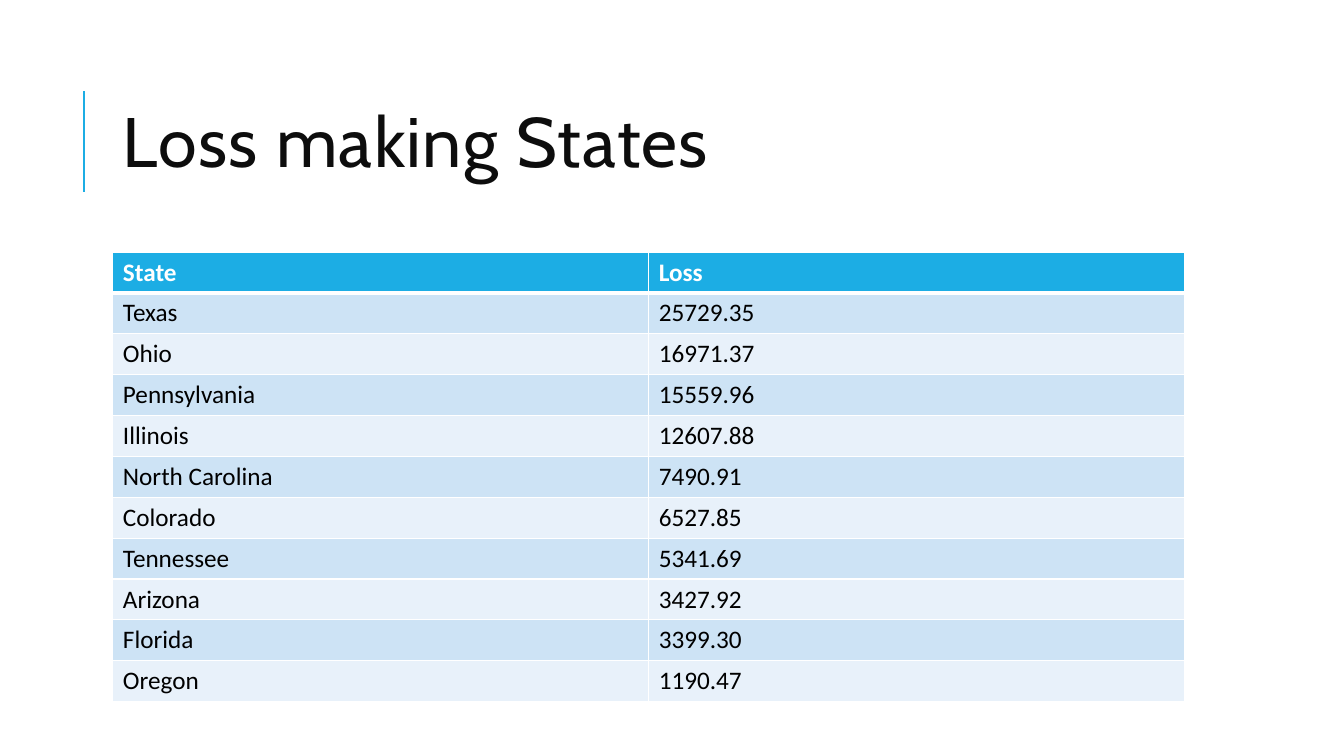
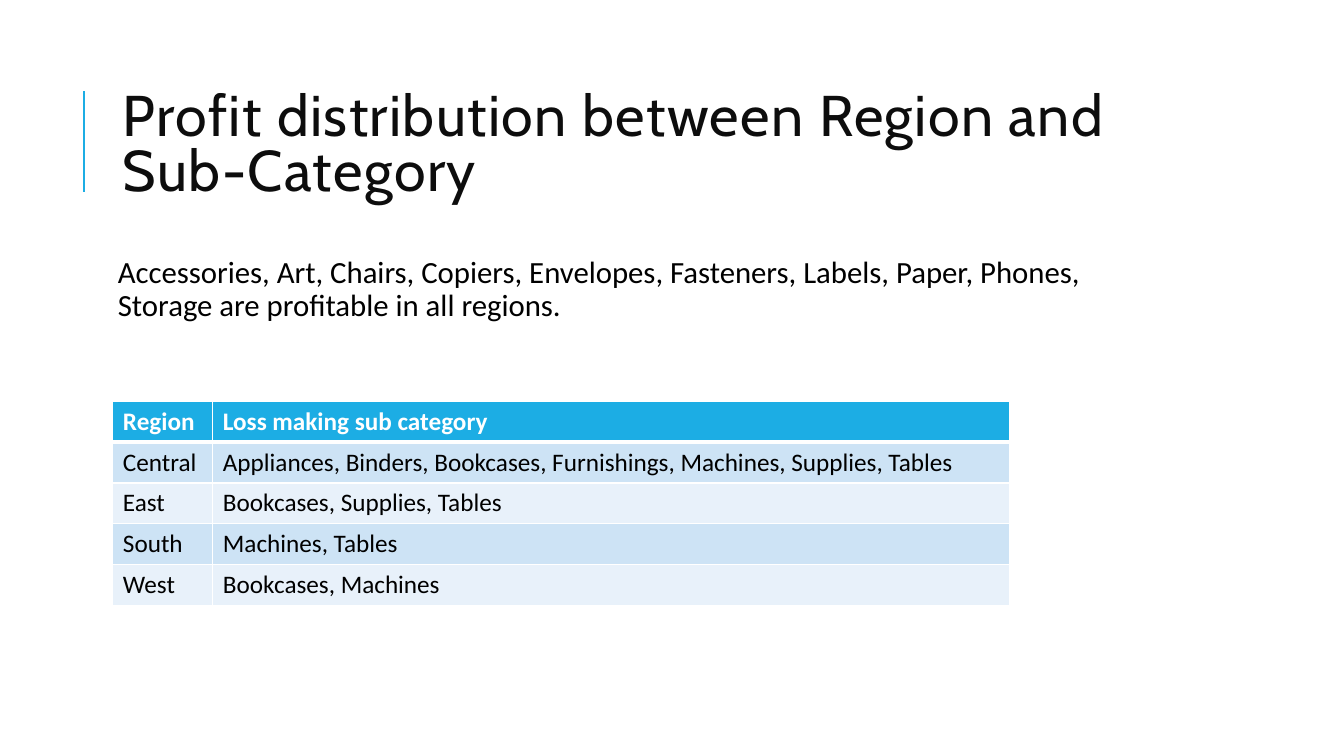
from lxml.etree import SubElement
from pptx import Presentation
from pptx.dml.color import RGBColor as RGB
from pptx.enum.shapes import MSO_CONNECTOR as Connector
from pptx.enum.text import MSO_ANCHOR as Anchor, MSO_AUTO_SIZE as AutoSize, PP_ALIGN as Align
from pptx.oxml.ns import qn
from pptx.util import Inches, Pt

COLORS = {
    "accent": "1CADE4",
    "title": "0D0D0D",
    "text": "000000",
    "white": "FFFFFF",
    "band_dark": "CDE3F5",
    "band_light": "E8F1FA",
}
HEAD_FONT, BODY_FONT = "Cabin", "Calibri"
COLS, ROWS = 160, 90
LEFT, WIDTH = 13.44, 127.6
CONTENT_TOP, TABLE_ROW = 30, 4.87


def color(name):
    return RGB.from_string(COLORS[name])


def write(tf, text, size=18, font=BODY_FONT, fill="text", bold=False,
          leading=None, after=None, spacing=None):
    tf.word_wrap = True
    p = tf.paragraphs[0]
    p.alignment = Align.LEFT
    if leading:
        p.line_spacing = leading
    if after is not None:
        p.space_after = Pt(after)
    r = p.add_run()
    r.text = text
    r.font.size, r.font.name, r.font.bold = Pt(size), font, bold
    r.font.color.rgb = color(fill)
    if spacing:
        r._r.get_or_add_rPr().set("spc", str(spacing * 100))


def add_border(cell, side, width):
    ln = SubElement(cell._tc.get_or_add_tcPr(), qn(f"a:ln{side}"), w=str(Pt(width)))
    fill = SubElement(ln, qn("a:solidFill"))
    SubElement(fill, qn("a:srgbClr"), val=COLORS["white"])


class Deck:
    def __init__(self):
        self.prs = Presentation()
        self.prs.slide_width, self.prs.slide_height = Inches(13.33), Inches(7.5)
        self.s = None

    def x(self, cols):
        return round(self.prs.slide_width * cols / COLS)

    def y(self, rows):
        return round(self.prs.slide_height * rows / ROWS)

    def box(self, left, top, width, height):
        return self.x(left), self.y(top), self.x(width), self.y(height)

    def slide(self, title, size):
        self.s = self.prs.slides.add_slide(self.prs.slide_layouts[5])
        self.rule(10, 22.8, 10.8)
        sp = self.s.shapes.title
        sp.left, sp.top, sp.width, sp.height = self.box(LEFT, 7.68, WIDTH, 19.68)
        tf = sp.text_frame
        tf.auto_size, tf.vertical_anchor = AutoSize.NONE, Anchor.MIDDLE
        write(tf, title, size=size, font=HEAD_FONT, fill="title", leading=0.8, spacing=1)

    def rule(self, col, start, end):
        line = self.s.shapes.add_connector(
            Connector.STRAIGHT, self.x(col), self.y(start), self.x(col), self.y(end))
        line.line.color.rgb, line.line.width = color("accent"), Pt(1.5)
        SubElement(line._element.spPr, qn("a:effectLst"))

    def body(self, text):
        tf = self.s.shapes.add_textbox(*self.box(LEFT, CONTENT_TOP, WIDTH, 52.8)).text_frame
        tf.margin_left = tf.margin_right = tf.margin_top = tf.margin_bottom = Inches(0.05)
        write(tf, text, size=22, leading=0.9, after=2)

    def table(self, top, widths, rows):
        table = self.s.shapes.add_table(
            len(rows), len(widths),
            *self.box(LEFT, top, sum(widths), TABLE_ROW * len(rows))).table
        for column, width in zip(table.columns, widths):
            column.width = self.x(width)
        for i, values in enumerate(rows):
            table.rows[i].height = self.y(TABLE_ROW)
            header = i == 0
            band = "accent" if header else "band_dark" if i % 2 else "band_light"
            borders = {"L": 1, "R": 1, "T": 3 if i == 1 else 1, "B": 3 if header else 1}
            for j, value in enumerate(values):
                cell = table.cell(i, j)
                for side, width in borders.items():
                    add_border(cell, side, width)
                cell.fill.solid()
                cell.fill.fore_color.rgb = color(band)
                write(cell.text_frame, value, bold=header,
                      fill="white" if header else "text")


def main():
    deck = Deck()

    deck.slide("Loss making States", size=50)
    deck.table(CONTENT_TOP, [WIDTH / 2] * 2, [
        ("State", "Loss"),
        ("Texas", "25729.35"),
        ("Ohio", "16971.37"),
        ("Pennsylvania", "15559.96"),
        ("Illinois", "12607.88"),
        ("North Carolina", "7490.91"),
        ("Colorado", "6527.85"),
        ("Tennessee", "5341.69"),
        ("Arizona", "3427.92"),
        ("Florida", "3399.30"),
        ("Oregon", "1190.47"),
    ])

    deck.slide("Profit distribution between Region and Sub-Category", size=41)
    deck.body("Accessories, Art, Chairs, Copiers, Envelopes, Fasteners, Labels, Paper, "
              "Phones, Storage are profitable in all regions.")
    deck.table(47.76, [11.9, 94.8], [
        ("Region", "Loss making sub category"),
        ("Central", "Appliances, Binders, Bookcases, Furnishings, Machines, Supplies, Tables"),
        ("East", "Bookcases, Supplies, Tables"),
        ("South", "Machines, Tables"),
        ("West", "Bookcases, Machines"),
    ])

    deck.prs.save("out.pptx")


if __name__ == "__main__":
    main()
